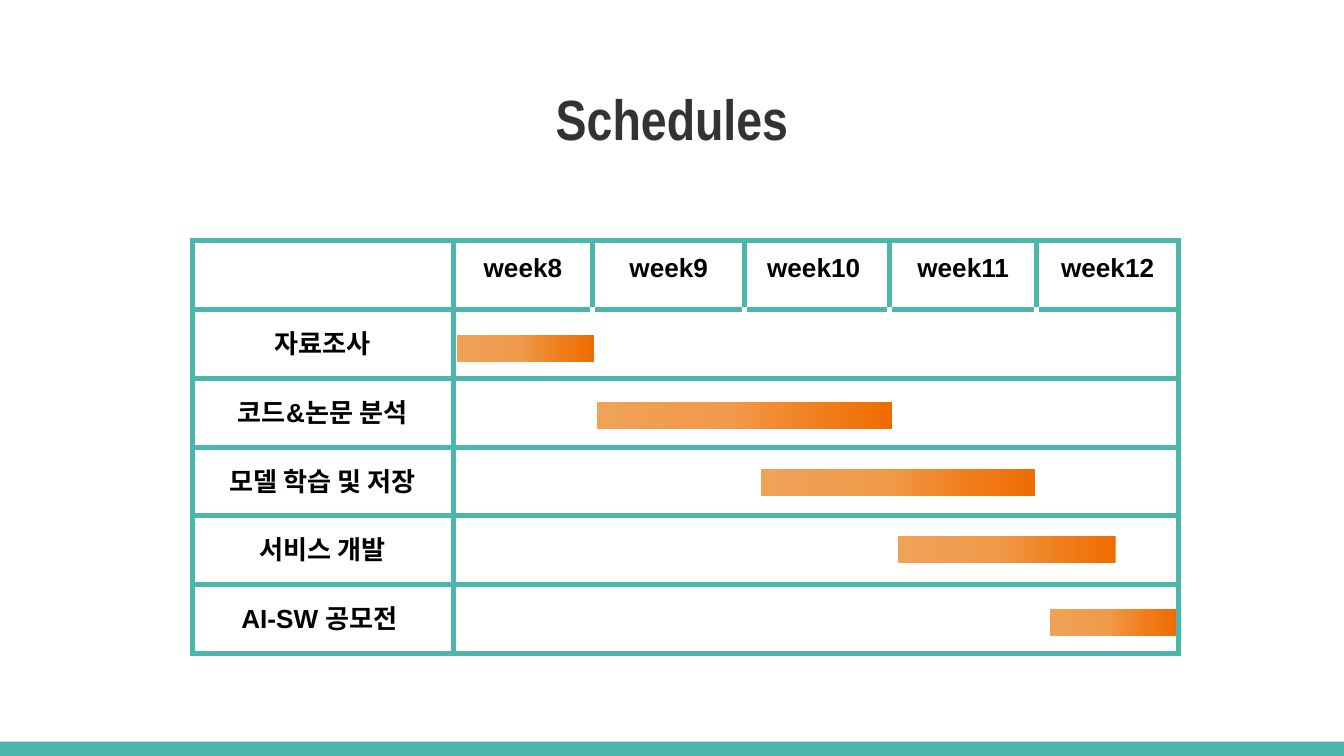
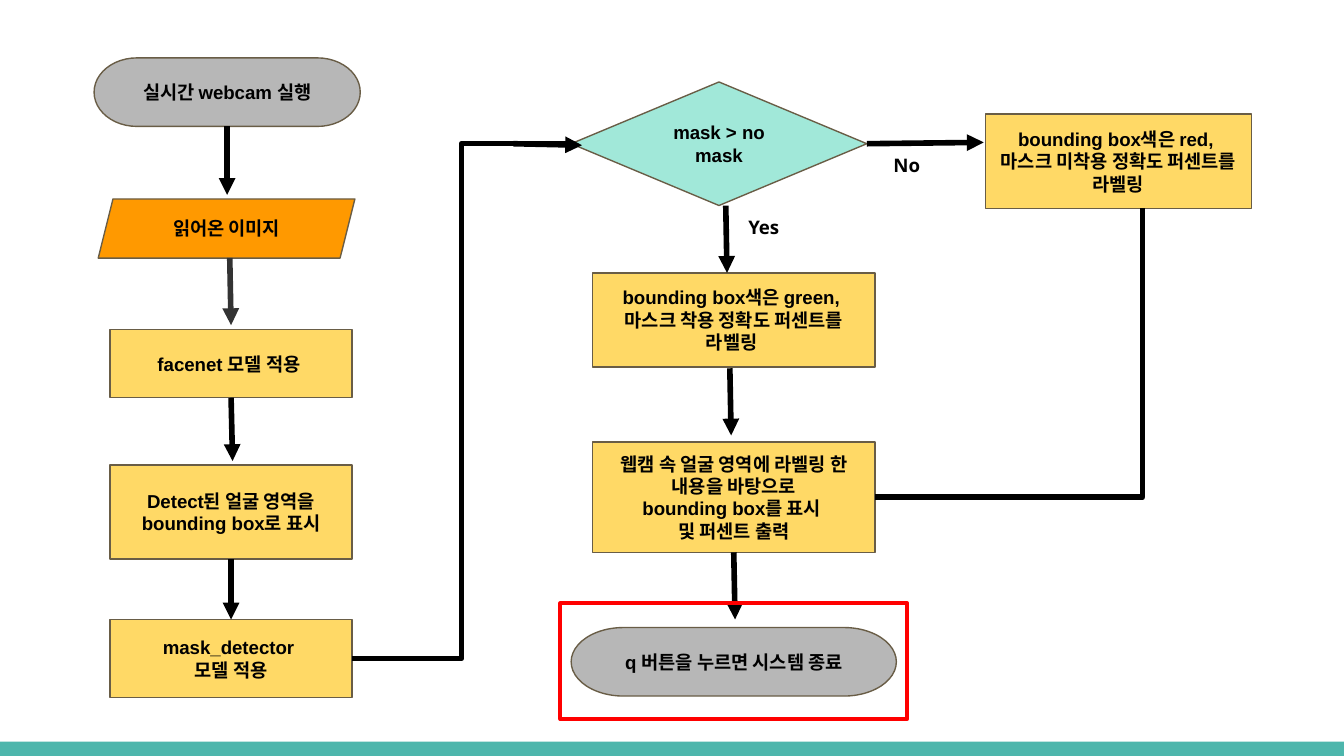
from lxml.etree import SubElement
from pptx import Presentation
from pptx.dml.color import RGBColor
from pptx.enum.shapes import MSO_CONNECTOR, MSO_SHAPE
from pptx.enum.text import MSO_ANCHOR, MSO_AUTO_SIZE, PP_ALIGN
from pptx.oxml.ns import qn
from pptx.util import Pt

COLORS = {
    "teal": "4DB6AC", "white": "FFFFFF", "black": "000000", "dark": "333333",
    "outline": "695D46", "mint": "A1E8D9", "orange": "FF9900",
    "gray": "B7B7B7", "yellow": "FFD966", "red": "FF0000",
}
BAR_STOPS = [(0, "EF6C00"), (22, "F07C19"), (39, "F08B32"), (54, "F09A4B"), (100, "F0A257")]
FORMATS = {
    "title": {"name": "Arial Narrow", "size": Pt(30.4), "bold": True},
    "cell": {"name": "Arial", "size": Pt(14), "bold": True},
    "node": {"name": "Arial", "size": Pt(10), "bold": True},
    "answer": {"name": "Open Sans", "size": Pt(10), "bold": True},
}
INSET = Pt(7.2)
TOP, LEFT, BOTTOM, RIGHT = range(4)

WEEKS = ["week8", "week9", "week10 ", "week11", "week12"]
TASKS = ["자료조사", "코드&논문 분석", "모델 학습 및 저장", "서비스 개발", "AI-SW 공모전 "]
COLUMN_WIDTHS = [139.7, 74.9, 81.4, 77.8, 78.5, 76.3]
ROW_HEIGHT = 36.9
TASK_BARS = [(244.8, 179.3, 73.4), (319.7, 215.3, 158.4), (407.5, 251.3, 146.9),
             (481, 287.3, 116.6), (562.3, 326.2, 67.7)]

NODES = {
    "decision": (MSO_SHAPE.FLOWCHART_DECISION, "mint", (306, 43.9, 158.4, 66.2),
                 ["mask > no mask"]),
    "start": (MSO_SHAPE.FLOWCHART_TERMINATOR, "gray", (50.4, 31, 142.6, 36.7),
              ["실시간 webcam 실행"]),
    "image": (MSO_SHAPE.PARALLELOGRAM, "orange", (52.6, 106.6, 137.5, 31.7),
              ["읽어온 이미지"]),
    "facenet": (MSO_SHAPE.RECTANGLE, "yellow", (59, 176.4, 129.6, 36.7),
                ["facenet 모델 적용 "]),
    "detect": (MSO_SHAPE.RECTANGLE, "yellow", (59, 249.1, 129.6, 50.4),
               ["Detect된 얼굴 영역을 bounding box로 표시"]),
    "detector": (MSO_SHAPE.RECTANGLE, "yellow", (59, 331.9, 129.6, 41.8),
                 ["mask_detector ", "모델 적용"]),
    "masked": (MSO_SHAPE.RECTANGLE, "yellow", (317.5, 146.2, 151.2, 50.4),
               ["bounding box색은 green, ", "마스크 착용 정확도 퍼센트를 라벨링 "]),
    "output": (MSO_SHAPE.RECTANGLE, "yellow", (317.5, 236.9, 151.2, 59),
               ["웹캠 속 얼굴 영역에 라벨링 한 내용을 바탕으로",
                "bounding box를 표시 ", "및 퍼센트 출력"]),
    "quit": (MSO_SHAPE.FLOWCHART_TERMINATOR, "gray", (306, 336.2, 174.2, 36.7),
             ["q 버튼을 누르면 시스템 종료"]),
    "unmasked": (MSO_SHAPE.RECTANGLE, "yellow", (527.8, 61.2, 142.6, 50.4),
                 ["bounding box색은 red, ", "마스크 미착용 정확도 퍼센트를 라벨링"]),
}
ARROWS = [
    (("start", BOTTOM), (121.7, 104.4), "black"),
    ((123.1, 138.2), (123.8, 174.2), "dark"),
    (("facenet", BOTTOM), (124.6, 247), "black"),
    (("detect", BOTTOM), ("detector", TOP), "black"),
    ((275, 77), (311.8, 77.8), "black"),
    (("decision", RIGHT), (527, 76.3), "black"),
    ((388.8, 110.2), (389.5, 146.2), "black"),
    ((391, 197.3), (391.7, 233.3), "black"),
    (("output", BOTTOM), (393.8, 331.9), "black"),
]


def rgb(color):
    return RGBColor.from_string(COLORS[color])


def points(*values):
    return [Pt(value) for value in values]


def write(frame, lines, style, color="black", align=PP_ALIGN.CENTER):
    for index, line in enumerate(lines):
        paragraph = frame.paragraphs[0] if index == 0 else frame.add_paragraph()
        paragraph.alignment = align
        run = paragraph.add_run()
        run.text = line
        for key, value in FORMATS[style].items():
            setattr(run.font, key, value)
        run.font.color.rgb = rgb(color)


def set_insets(holder):
    for side in ("left", "top", "right", "bottom"):
        setattr(holder, f"margin_{side}", INSET)


def add_box(slide, preset, bounds, fill=None, line=None, width=0.75):
    box = slide.shapes.add_shape(preset, *points(*bounds))
    box.shadow.inherit = False
    if fill:
        box.fill.solid()
        box.fill.fore_color.rgb = rgb(fill)
    else:
        box.fill.background()
    if line:
        box.line.color.rgb = rgb(line)
        box.line.width = Pt(width)
    else:
        box.line.fill.background()
    return box


def add_master_band(prs, slide):
    band = add_box(slide, MSO_SHAPE.RECTANGLE, (0, 397.4, 720, 7.6), "teal")
    prs.slide_master.shapes.element.insert(2, band.element)


def set_title(slide, text):
    title = slide.shapes.title
    title.left, title.top, title.width, title.height = points(24.5, 35.3, 671, 55.4)
    frame = title.text_frame
    frame.auto_size = MSO_AUTO_SIZE.NONE
    frame.vertical_anchor = MSO_ANCHOR.MIDDLE
    set_insets(frame)
    write(frame, [text], "title", "dark")


def set_borders(cell, sides):
    properties = cell._tc.get_or_add_tcPr()
    for side, color in sides.items():
        border = SubElement(properties, qn(f"a:ln{side}"), w=str(Pt(3)))
        paint = SubElement(border, qn("a:solidFill"))
        SubElement(paint, qn("a:srgbClr"), val=COLORS[color])


def add_schedule(slide):
    rows = [["", *WEEKS]] + [[task] + [""] * len(WEEKS) for task in TASKS]
    last = len(WEEKS)
    bounds = points(103, 128.9, sum(COLUMN_WIDTHS), ROW_HEIGHT * len(rows))
    schedule = slide.shapes.add_table(len(rows), len(COLUMN_WIDTHS), *bounds).table
    for column, width in zip(schedule.columns, COLUMN_WIDTHS):
        column.width = Pt(width)
    for r, texts in enumerate(rows):
        schedule.rows[r].height = Pt(ROW_HEIGHT)
        for c, text in enumerate(texts):
            cell = schedule.cell(r, c)
            set_insets(cell)
            heading = r == 0 or c == 0
            set_borders(cell, {
                "L": "teal" if heading or c == 1 else "white",
                "R": "teal" if heading or c == last else "white",
                "T": "teal",
                "B": "teal",
            })
            cell.fill.solid()
            cell.fill.fore_color.rgb = rgb("white")
            if text:
                write(cell.text_frame, [text], "cell")


def add_task_bar(slide, left, top, width):
    bar = add_box(slide, MSO_SHAPE.RECTANGLE, (left, top, width, 14.4))
    bar.rotation = 180
    bar.fill.gradient()
    bar.fill.gradient_angle = 0
    stops = bar.element.spPr.find(qn("a:gradFill")).find(qn("a:gsLst"))
    for stop in list(stops):
        stops.remove(stop)
    for position, color in BAR_STOPS:
        stop = SubElement(stops, qn("a:gs"), pos=str(position * 1000))
        SubElement(stop, qn("a:srgbClr"), val=color)


def add_node(slide, preset, fill, bounds, lines):
    node = add_box(slide, preset, bounds, fill, "outline")
    frame = node.text_frame
    frame.word_wrap = True
    frame.vertical_anchor = MSO_ANCHOR.MIDDLE
    set_insets(frame)
    write(frame, lines, "node")
    return node


def add_flow(slide, nodes, begin, end, color="black", kind=MSO_CONNECTOR.STRAIGHT, head=True):
    joins = [isinstance(place[0], str) for place in (begin, end)]
    ends = [(0, 0) if joined else place for joined, place in zip(joins, (begin, end))]
    flow = slide.shapes.add_connector(kind, *points(*ends[0], *ends[1]))
    if joins[0]:
        flow.begin_connect(nodes[begin[0]], begin[1])
    if joins[1]:
        flow.end_connect(nodes[end[0]], end[1])
    flow.line.color.rgb = rgb(color)
    flow.line.width = Pt(3)
    properties = flow.element.spPr
    if head:
        SubElement(properties.find(qn("a:ln")), qn("a:tailEnd"), type="triangle")
    SubElement(properties, qn("a:effectLst"))
    return flow


def add_corner(slide, nodes, begin, end):
    down, across = end[1] - begin[1], begin[0] - end[0]
    left = (begin[0] + end[0] - down) / 2
    top = (begin[1] + end[1] - across) / 2
    corner = add_flow(slide, nodes, (left, top), (left + down, top + across),
                      kind=MSO_CONNECTOR.ELBOW, head=False)
    properties = corner.element.spPr
    properties.find(qn("a:xfrm")).set("rot", str(90 * 60000))
    properties.find(qn("a:prstGeom")).set("prst", "bentConnector2")


def add_answer(slide, text, bounds):
    frame = slide.shapes.add_textbox(*points(*bounds)).text_frame
    frame.word_wrap = True
    frame.auto_size = MSO_AUTO_SIZE.SHAPE_TO_FIT_TEXT
    set_insets(frame)
    write(frame, [text], "answer", align=PP_ALIGN.LEFT)


def build_schedule_slide(slide):
    set_title(slide, "Schedules")
    add_schedule(slide)
    for bar in TASK_BARS:
        add_task_bar(slide, *bar)


def build_flow_slide(slide):
    nodes = {key: add_node(slide, *node) for key, node in NODES.items()}
    add_flow(slide, nodes, ("detector", RIGHT), ("decision", LEFT),
             kind=MSO_CONNECTOR.ELBOW, head=False)
    add_corner(slide, nodes, (612, 111.6), (468.7, 266.4))
    for begin, end, color in ARROWS:
        add_flow(slide, nodes, begin, end, color)
    add_answer(slide, "Yes", (393.8, 109.4, 36.7, 26.6))
    add_answer(slide, "No", (471.6, 76.3, 48.2, 26.6))
    add_box(slide, MSO_SHAPE.RECTANGLE, (300.2, 323.3, 185.8, 61.9), line="red", width=2.25)


def main():
    prs = Presentation()
    prs.slide_width, prs.slide_height = points(720, 405)
    schedule_slide = prs.slides.add_slide(prs.slide_layouts[5])
    add_master_band(prs, schedule_slide)
    build_schedule_slide(schedule_slide)
    build_flow_slide(prs.slides.add_slide(prs.slide_layouts[6]))
    prs.save("out.pptx")


if __name__ == "__main__":
    main()
